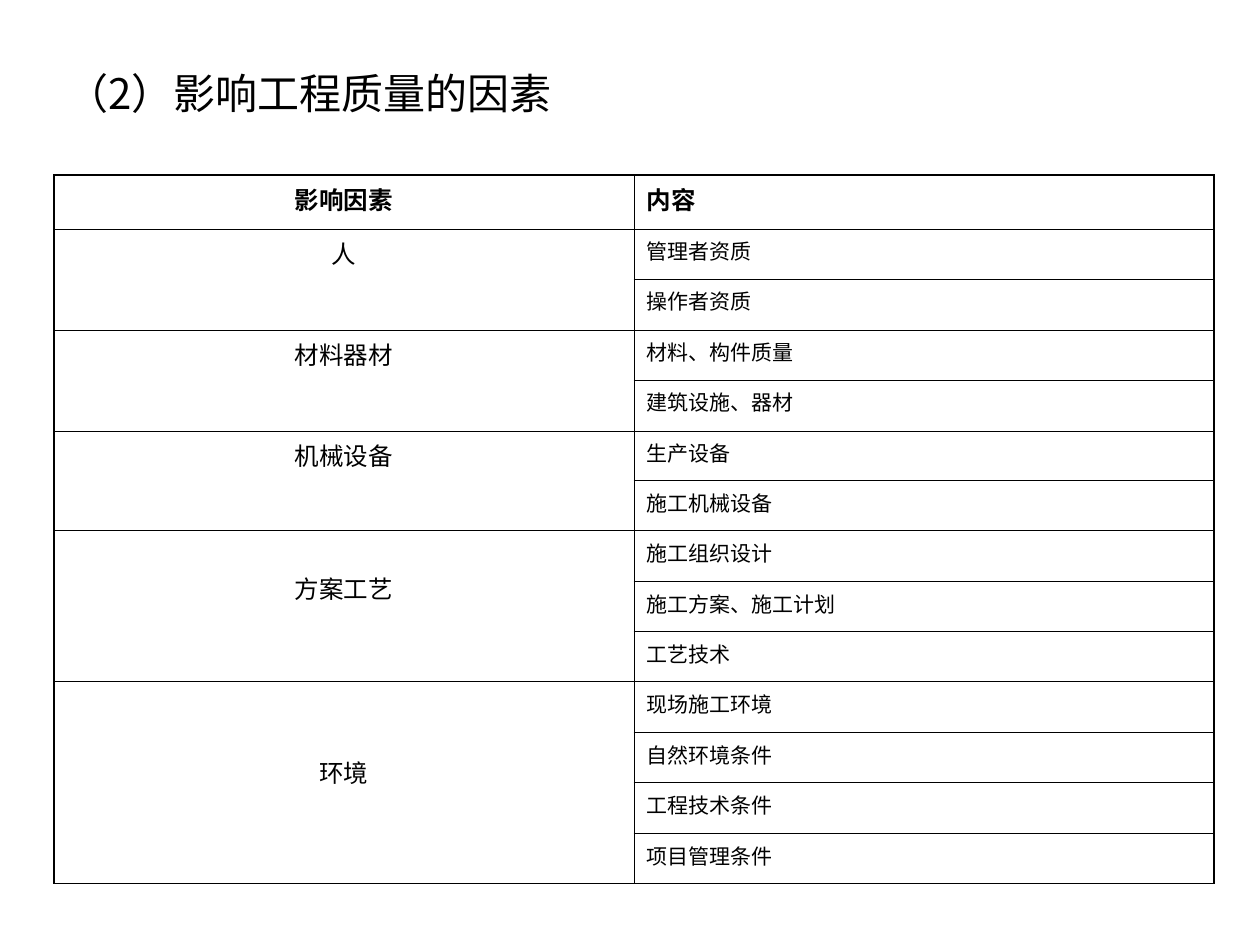
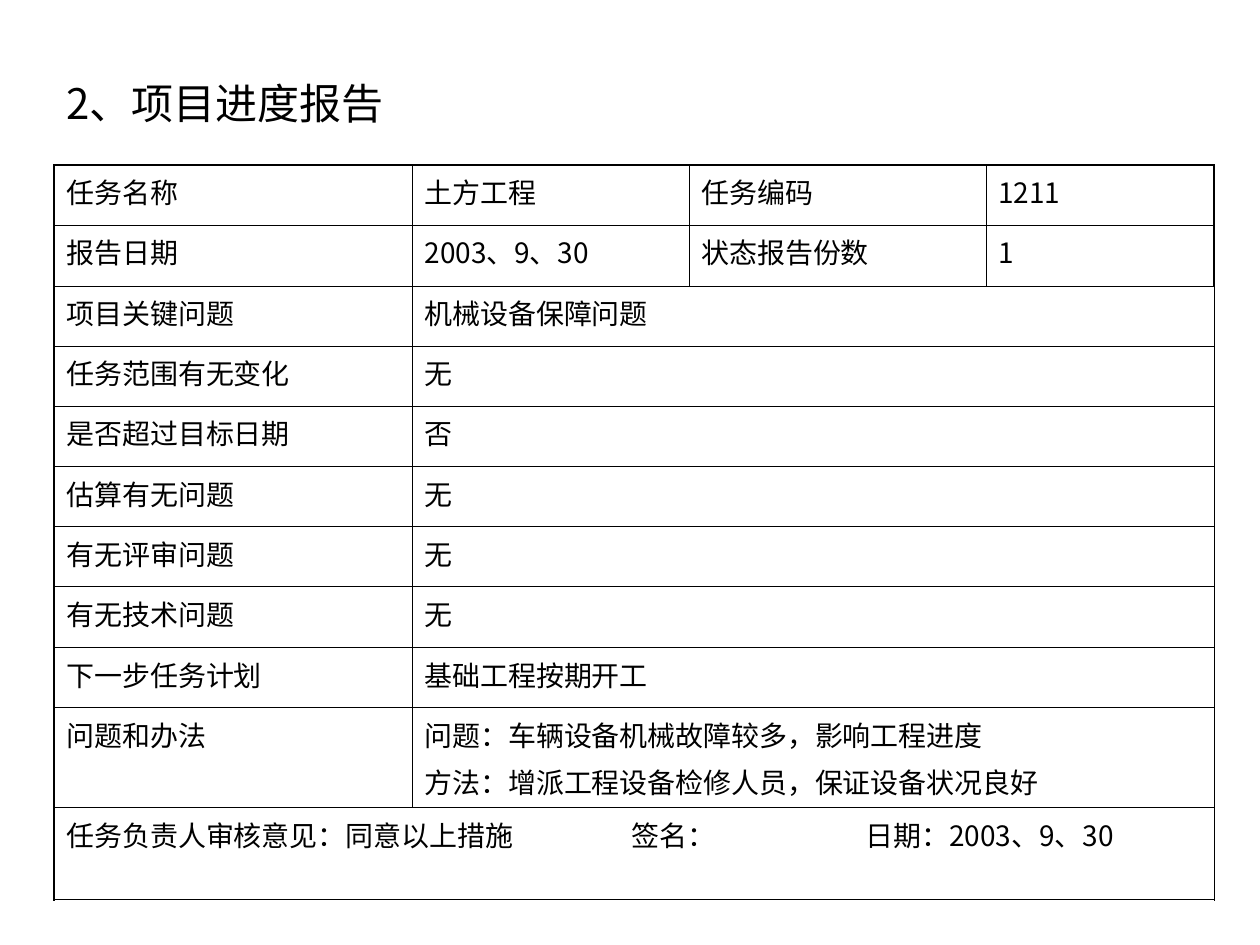
from dataclasses import dataclass
from itertools import pairwise

from lxml import etree
from pptx import Presentation
from pptx.dml.color import RGBColor
from pptx.enum.text import MSO_ANCHOR, PP_ALIGN
from pptx.oxml.ns import qn
from pptx.slide import Slide
from pptx.table import Table, _Cell
from pptx.text.text import _Paragraph
from pptx.util import Emu, Pt

LEFT, CENTER = PP_ALIGN.LEFT, PP_ALIGN.CENTER
MIDDLE = MSO_ANCHOR.MIDDLE
BLACK = RGBColor(0x00, 0x00, 0x00)
WHITE = RGBColor(0xFF, 0xFF, 0xFF)
CJK_FONT = "Noto Sans CJK SC"
LATIN_FONT = "Arial"
OUTER_LINE, INNER_LINE = Pt(1.08), Pt(0.45)

PX_PER_INCH = 126
SLIDE_WIDTH, SLIDE_HEIGHT = 1260, 945
MARGIN_LEFT, CONTENT_WIDTH = 54, 1160
TITLE_HEIGHT = 95
CELL_INSET = 6
EMPTY_LINE = 33

FACTORS = [
    ("人", 0, ["管理者资质", "操作者资质"]),
    ("材料器材", 0, ["材料、构件质量", "建筑设施、器材"]),
    ("机械设备", 0, ["生产设备", "施工机械设备"]),
    ("方案工艺", 1, ["施工组织设计", "施工方案、施工计划", "工艺技术"]),
    ("环境", 2, ["现场施工环境", "自然环境条件", "工程技术条件", "项目管理条件"]),
]
REPORT_ROWS = [
    ["任务名称", "土方工程", "任务编码", "1211"],
    ["报告日期", "2003、9、30", "状态报告份数", "1"],
    ["项目关键问题", "机械设备保障问题"],
    ["任务范围有无变化", "无"],
    ["是否超过目标日期", "否"],
    ["估算有无问题", "无"],
    ["有无评审问题", "无"],
    ["有无技术问题", "无"],
    ["下一步任务计划", "基础工程按期开工"],
    ["问题和办法", "问题：车辆设备机械故障较多，影响工程进度\n方法：增派工程设备检修人员，保证设备状况良好"],
    ["任务负责人审核意见：同意以上措施\t签名：\t日期：2003、9、30"],
]
SIGNATURE_TABS = (565, 799)


@dataclass(frozen=True)
class TextStyle:
    size: int
    font: str = CJK_FONT
    bold: bool = False
    align: PP_ALIGN = LEFT
    space_before: int = 0


@dataclass(frozen=True)
class Entry:
    """Text of one cell, with the rows and columns it covers."""
    row: int
    column: int
    text: str
    style: TextStyle
    row_span: int = 1
    column_span: int = 1
    drop: int = 0
    tabs: tuple[int, ...] = ()


TITLE = TextStyle(24)
FACTOR_HEADER = TextStyle(14, LATIN_FONT, bold=True, align=CENTER)
CONTENT_HEADER = TextStyle(14, LATIN_FONT, bold=True)
FACTOR = TextStyle(14, LATIN_FONT, align=CENTER)
CONTENT = TextStyle(12, LATIN_FONT)
REPORT = TextStyle(16, space_before=4)


def px(length: int) -> Emu:
    return Emu(round(length * 914400 / PX_PER_INCH))


def split(total: int, count: int) -> list[int]:
    """Share a length among equal parts of whole pixels."""
    edges = [round(total * index / count) for index in range(count + 1)]
    return [end - start for start, end in pairwise(edges)]


def style_paragraph(paragraph: _Paragraph, style: TextStyle) -> None:
    paragraph.alignment = style.align
    for run in paragraph.runs:
        run.font.size = Pt(style.size)
        run.font.bold = style.bold
        run.font.color.rgb = BLACK
        run.font.name = style.font
        east_asian = etree.SubElement(run.font._element, qn("a:ea"))
        east_asian.set("typeface", CJK_FONT)


def add_tab_stops(paragraph: _Paragraph, positions: tuple[int, ...]) -> None:
    properties = paragraph._p.get_or_add_pPr()
    tab_list = etree.SubElement(properties, qn("a:tabLst"))
    for position in positions:
        etree.SubElement(tab_list, qn("a:tab"), pos=str(px(position)), algn="l")


def add_title(slide: Slide, text: str, top: int) -> None:
    box = slide.shapes.add_textbox(
        px(MARGIN_LEFT), px(top), px(CONTENT_WIDTH), px(TITLE_HEIGHT))
    text_frame = box.text_frame
    text_frame.word_wrap = True
    text_frame.vertical_anchor = MIDDLE
    text_frame.text = text
    style_paragraph(text_frame.paragraphs[0], TITLE)


def add_borders(cell: _Cell, outer_sides: dict[str, bool]) -> None:
    properties = cell._tc.get_or_add_tcPr()
    for side, is_outer in outer_sides.items():
        width = OUTER_LINE if is_outer else INNER_LINE
        line = etree.SubElement(properties, qn(f"a:{side}"), w=str(width))
        fill = etree.SubElement(line, qn("a:solidFill"))
        etree.SubElement(fill, qn("a:srgbClr"), val=str(BLACK))


def fill_entry(table: Table, entry: Entry) -> None:
    cell = table.cell(entry.row, entry.column)
    if entry.row_span > 1 or entry.column_span > 1:
        cell.merge(table.cell(entry.row + entry.row_span - 1,
                              entry.column + entry.column_span - 1))
    if entry.drop:
        cell.margin_top = px(CELL_INSET + entry.drop)
    cell.text_frame.text = entry.text
    for index, paragraph in enumerate(cell.text_frame.paragraphs):
        if entry.tabs:
            add_tab_stops(paragraph, entry.tabs)
        if index and entry.style.space_before:
            paragraph.space_before = Pt(entry.style.space_before)
        style_paragraph(paragraph, entry.style)


def add_ruled_table(slide: Slide, top: int, widths: list[int], heights: list[int],
                    entries: list[Entry], fill: RGBColor | None = None) -> None:
    last_row, last_column = len(heights) - 1, len(widths) - 1
    table = slide.shapes.add_table(
        len(heights), len(widths), px(MARGIN_LEFT), px(top),
        px(sum(widths)), px(sum(heights))).table
    table.first_row = False
    table.horz_banding = False
    for column, width in zip(table.columns, widths):
        column.width = px(width)
    for row, height in zip(table.rows, heights):
        row.height = px(height)
    for row_index, row in enumerate(table.rows):
        for column_index, cell in enumerate(row.cells):
            add_borders(cell, {
                "lnL": column_index == 0,
                "lnR": column_index == last_column,
                "lnT": row_index == 0,
                "lnB": row_index == last_row,
            })
            if fill is None:
                cell.fill.background()
            else:
                cell.fill.solid()
                cell.fill.fore_color.rgb = fill
    for entry in entries:
        fill_entry(table, entry)


def build_factors_slide(slide: Slide) -> None:
    add_title(slide, "（2）影响工程质量的因素", 45)
    entries = [Entry(0, 0, "影响因素", FACTOR_HEADER),
               Entry(0, 1, "内容", CONTENT_HEADER)]
    row = 1
    for factor, empty_lines, contents in FACTORS:
        entries.append(Entry(row, 0, factor, FACTOR, row_span=len(contents),
                             drop=empty_lines * EMPTY_LINE))
        for content in contents:
            entries.append(Entry(row, 1, content, CONTENT))
            row += 1
    add_ruled_table(slide, 175, split(CONTENT_WIDTH, 2),
                    [54, *split(655, row - 1)], entries, WHITE)


def build_report_slide(slide: Slide) -> None:
    add_title(slide, "2、项目进度报告", 55)
    widths = [358, 277, 297, 228]
    entries = []
    for row, texts in enumerate(REPORT_ROWS):
        for column, text in enumerate(texts):
            is_last = column == len(texts) - 1
            entries.append(Entry(
                row, column, text, REPORT,
                column_span=len(widths) - column if is_last else 1,
                tabs=SIGNATURE_TABS if "\t" in text else ()))
    add_ruled_table(slide, 165, widths, [*split(543, 9), 100, 92], entries)


def main() -> None:
    presentation = Presentation()
    presentation.slide_width = px(SLIDE_WIDTH)
    presentation.slide_height = px(SLIDE_HEIGHT)
    blank_layout = presentation.slide_layouts[6]
    for build in (build_factors_slide, build_report_slide):
        build(presentation.slides.add_slide(blank_layout))
    presentation.save("out.pptx")


if __name__ == "__main__":
    main()
